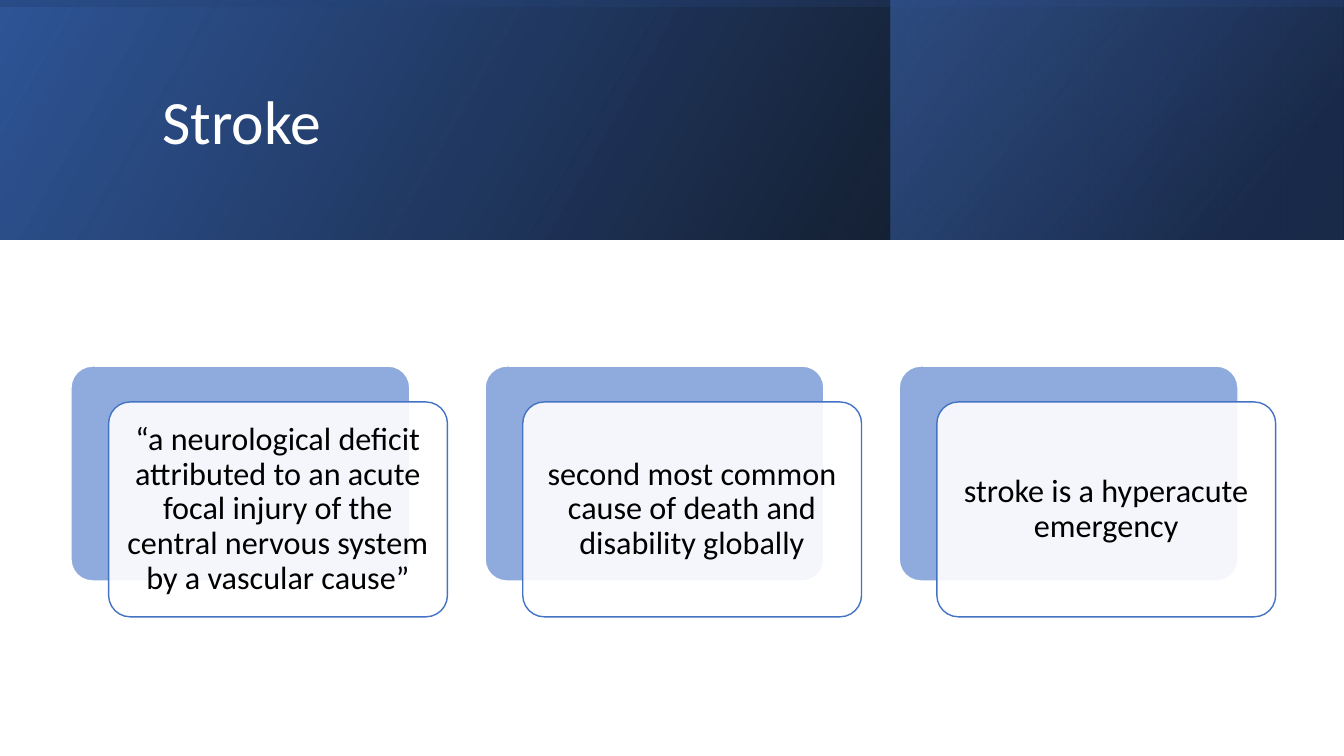
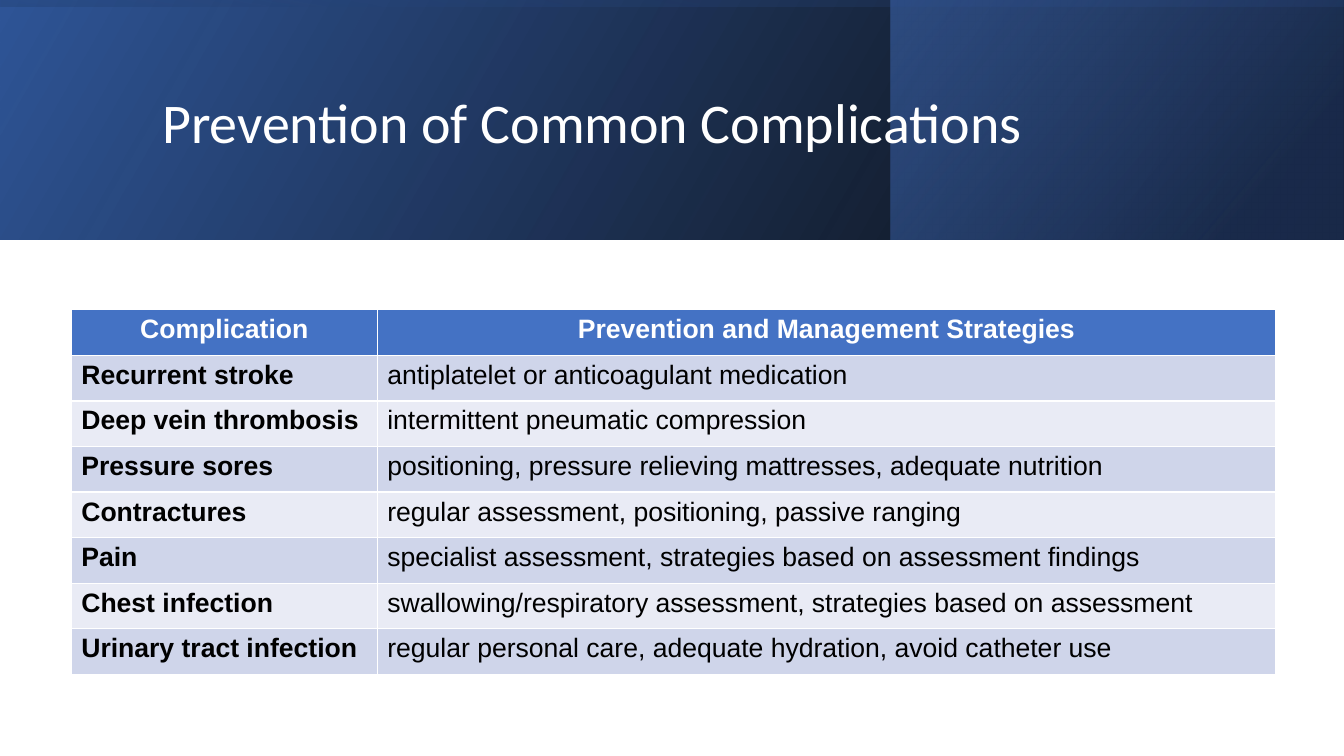
"""Build two slides on stroke: key facts as cards, and a table of complications."""
from dataclasses import dataclass

from lxml.etree import SubElement
from pptx import Presentation
from pptx.dml.color import RGBColor
from pptx.enum.shapes import MSO_SHAPE
from pptx.enum.text import MSO_ANCHOR, MSO_AUTO_SIZE, PP_ALIGN
from pptx.oxml.ns import qn
from pptx.util import Pt


@dataclass(frozen=True)
class Theme:
    white: str = "FFFFFF"
    black: str = "000000"
    accent: str = "4472C4"
    deep: str = "2F5597"
    navy: str = "203864"
    card: str = "8FAADC"
    row_dark: str = "CFD5EA"
    row_light: str = "E9EBF5"
    heading_font: str = "Calibri"
    table_font: str = "Arial"
    card_size: float = 23
    table_size: float = 19


theme = Theme()


def style_text(paragraph, font_name, size, color, bold=False):
    paragraph.font.name = font_name
    paragraph.font.size = Pt(size)
    paragraph.font.bold = bold
    paragraph.font.color.rgb = RGBColor.from_string(color)


def add_plain_shape(page, kind, left, top, width, height, fill, line=None):
    shape = page.shapes.add_shape(kind, Pt(left), Pt(top), Pt(width), Pt(height))
    shape.shadow.inherit = False
    shape.fill.solid()
    shape.fill.fore_color.rgb = RGBColor.from_string(fill)
    if line:
        shape.line.color.rgb = RGBColor.from_string(line)
        shape.line.width = Pt(1)
    else:
        shape.line.fill.background()
    return shape


deck = Presentation()
deck.slide_width, deck.slide_height = Pt(960), Pt(540)
layout = deck.slide_layouts.get_by_name("Title Only")

titles = [("Stroke", 44), ("Prevention of Common Complications", 40)]
pages = []
for text, size in titles:
    page = deck.slides.add_slide(layout)
    title = page.shapes.title
    title.left, title.top, title.width, title.height = Pt(108.7), Pt(27.4), Pt(765.4), Pt(123.8)
    frame = title.text_frame
    frame.text = text
    frame.word_wrap = True
    frame.auto_size = MSO_AUTO_SIZE.NONE
    frame.vertical_anchor = MSO_ANCHOR.MIDDLE
    para = frame.paragraphs[0]
    para.alignment = PP_ALIGN.LEFT
    para.line_spacing = 0.9
    style_text(para, theme.heading_font, size, theme.white)
    pages.append(page)
facts_page, table_page = pages

band_height = 171
bands = [
    (0, 0, 960, band_height, 0, 330, [(0, theme.black, 96), (100, theme.deep, 100)]),
    (636.5, 0, 323, band_height, 0, 320, [(19, theme.navy, 68), (100, theme.accent, 48)]),
    (394.5, -394.5, band_height, 960, 270, 350, [(23, theme.deep, 16), (99, theme.black, 45)]),
]
for index, (left, top, width, height, rotation, angle, stops) in enumerate(bands):
    band = add_plain_shape(facts_page, MSO_SHAPE.RECTANGLE, left, top, width, height, theme.deep)
    band.rotation = rotation
    properties = band.element.spPr
    properties.find(qn("a:xfrm")).set("flipH", "1")
    solid = properties.find(qn("a:solidFill"))
    gradient = solid.makeelement(qn("a:gradFill"), {"rotWithShape": "1"})
    properties.replace(solid, gradient)
    stop_list = SubElement(gradient, qn("a:gsLst"))
    for position, color, opacity in stops:
        stop = SubElement(stop_list, qn("a:gs"), pos=str(position * 1000))
        paint = SubElement(stop, qn("a:srgbClr"), val=color)
        SubElement(paint, qn("a:alpha"), val=str(opacity * 1000))
    SubElement(gradient, qn("a:lin"), ang=str(angle * 60000), scaled="0")
    band.element.nvSpPr.cNvPr.set("id", str(101 + index))
    layout.shapes.element.insert(2 + index, band.element)

facts = [
    "“a neurological deficit attributed to an acute focal injury of the central nervous system by a vascular cause”",
    "second most common cause of death and disability globally",
    "stroke is a hyperacute emergency",
]
card_width, card_height, card_pitch = 242, 153.5, 295.8
for index, fact in enumerate(facts):
    left, top = 50.7 + index * card_pitch, 261.5
    back = add_plain_shape(facts_page, MSO_SHAPE.ROUNDED_RECTANGLE, left, top,
                           card_width, card_height, theme.card, theme.white)
    front = add_plain_shape(facts_page, MSO_SHAPE.ROUNDED_RECTANGLE, left + 26.9, top + 25.6,
                            card_width, card_height, theme.white, theme.accent)
    back.adjustments[0] = front.adjustments[0] = 0.1
    paint = front.element.spPr.find(qn("a:solidFill")).find(qn("a:srgbClr"))
    SubElement(paint, qn("a:alpha"), val="90000")
    frame = front.text_frame
    frame.text = fact
    frame.word_wrap = True
    frame.vertical_anchor = MSO_ANCHOR.MIDDLE
    frame.margin_left = frame.margin_right = frame.margin_top = frame.margin_bottom = Pt(7.2)
    para = frame.paragraphs[0]
    para.alignment = PP_ALIGN.CENTER
    para.line_spacing = 0.9
    style_text(para, theme.heading_font, theme.card_size, theme.black)

rows = [
    ("Complication", "Prevention and Management Strategies"),
    ("Recurrent stroke", "antiplatelet or anticoagulant medication"),
    ("Deep vein thrombosis", "intermittent pneumatic compression"),
    ("Pressure sores", "positioning, pressure relieving mattresses, adequate nutrition"),
    ("Contractures", "regular assessment, positioning, passive ranging"),
    ("Pain", "specialist assessment, strategies based on assessment findings"),
    ("Chest infection", "swallowing/respiratory assessment, strategies based on assessment"),
    ("Urinary tract infection", "regular personal care, adequate hydration, avoid catheter use"),
]
column_widths = [218.6, 641.6]
row_height = 32.55
table = table_page.shapes.add_table(
    len(rows), len(column_widths), Pt(50.9), Pt(221.3),
    Pt(sum(column_widths)), Pt(row_height * len(rows))).table
for column, width in zip(table.columns, column_widths):
    column.width = Pt(width)
for row_index, texts in enumerate(rows):
    is_header = row_index == 0
    row_fill = theme.row_dark if row_index % 2 else theme.row_light
    for column_index, text in enumerate(texts):
        cell = table.cell(row_index, column_index)
        cell.text = text
        cell.fill.solid()
        cell.fill.fore_color.rgb = RGBColor.from_string(theme.accent if is_header else row_fill)
        para = cell.text_frame.paragraphs[0]
        para.alignment = PP_ALIGN.CENTER if is_header else PP_ALIGN.LEFT
        style_text(para, theme.table_font, theme.table_size,
                   theme.white if is_header else theme.black,
                   bold=is_header or column_index == 0)

deck.save("out.pptx")
